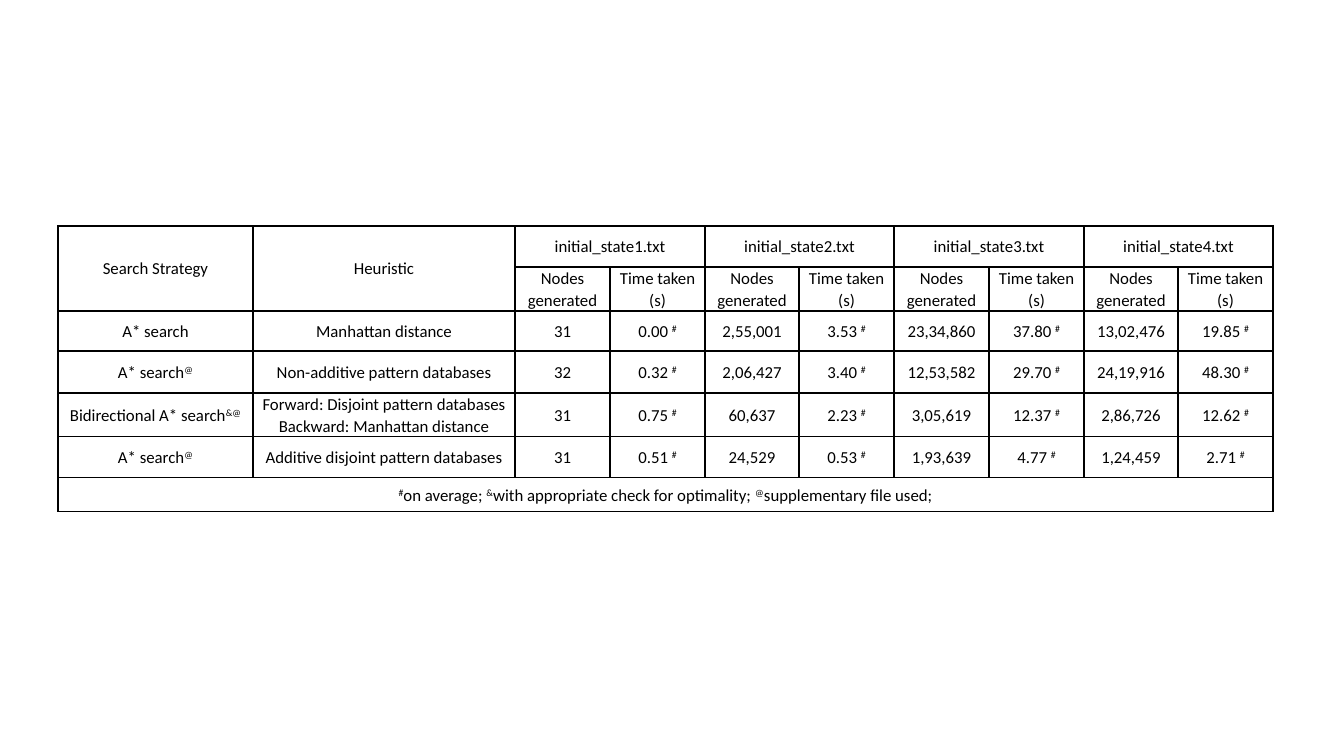
import pptx
import pptx.dml.color
import pptx.enum.text
import pptx.util
import lxml.etree

PIXEL = pptx.util.Inches(1) / 100.8
DRAWING = "{http://schemas.openxmlformats.org/drawingml/2006/main}"
BLACK = "000000"


def px(length):
    """Turn whole pixels into EMU."""
    return pptx.util.Emu(round(length * PIXEL))


def write(cell, text, size=12, font="Calibri", color=BLACK, inset=(9, 0)):
    """Fill a cell with centred text; ^ switches superscript on and off."""
    cell.vertical_anchor = pptx.enum.text.MSO_ANCHOR.MIDDLE
    cell.margin_left = cell.margin_right = px(inset[0])
    cell.margin_top = cell.margin_bottom = px(inset[1])
    for number, line in enumerate(text.split("\n")):
        frame = cell.text_frame
        para = frame.add_paragraph() if number else frame.paragraphs[0]
        para.alignment = pptx.enum.text.PP_ALIGN.CENTER
        para.line_spacing = 1.07
        for index, part in enumerate(line.split("^")):
            if not part:
                continue
            span = para.add_run()
            span.text = part
            span.font.size = pptx.util.Pt(size)
            span.font.name = font
            span.font.color.rgb = pptx.dml.color.RGBColor.from_string(color)
            if index % 2:
                span.font._element.set("baseline", "30000")


deck = pptx.Presentation()
deck.slide_width = pptx.util.Inches(13.33)
deck.slide_height = pptx.util.Inches(7.5)
page = deck.slides.add_slide(deck.slide_layouts[6])

# Search strategy, heuristic, then nodes generated and seconds for each state
results = [
    ("A* search", "Manhattan distance",
     "31", "0.00", "2,55,001", "3.53", "23,34,860", "37.80", "13,02,476", "19.85"),
    ("A* search^@", "Non-additive pattern databases",
     "32", "0.32", "2,06,427", "3.40", "12,53,582", "29.70", "24,19,916", "48.30"),
    ("Bidirectional A* search^&@",
     "Forward: Disjoint pattern databases\nBackward: Manhattan distance",
     "31", "0.75", "60,637", "2.23", "3,05,619", "12.37", "2,86,726", "12.62"),
    ("A* search^@", "Additive disjoint pattern databases",
     "31", "0.51", "24,529", "0.53", "1,93,639", "4.77", "1,24,459", "2.71"),
]
footnote = ("^#^on average; ^&^with appropriate check for optimality; "
            "^@^supplementary file used;")

widths = [195, 262] + [95, 95, 94, 95] * 2
heights = [41, 44, 40, 42, 44, 41, 34]
table = page.shapes.add_table(len(heights), len(widths), px(58), px(226),
                              px(sum(widths)), px(sum(heights))).table
table.first_row = table.horz_banding = False
for column, width in zip(table.columns, widths):
    column.width = px(width)
for row, height in zip(table.rows, heights):
    row.height = px(height)

# Thin black borders and no fill on every cell
for cell in table.iter_cells():
    properties = cell._tc.get_or_add_tcPr()
    for side in ("lnL", "lnR", "lnT", "lnB"):
        border = lxml.etree.SubElement(properties, DRAWING + side,
                                       w=str(pptx.util.Pt(1)))
        paint = lxml.etree.SubElement(border, DRAWING + "solidFill")
        lxml.etree.SubElement(paint, DRAWING + "srgbClr", val=BLACK)
    cell.fill.background()

# Header
wide = (12, 6)
for column, heading in enumerate(("Search Strategy", "Heuristic")):
    table.cell(0, column).merge(table.cell(1, column))
    write(table.cell(0, column), heading, inset=wide)
for state in range(4):
    column = 2 + 2 * state
    table.cell(0, column).merge(table.cell(0, column + 1))
    write(table.cell(0, column), f"initial_state{state + 1}.txt", inset=wide)
    write(table.cell(1, column), "Nodes generated")
    write(table.cell(1, column + 1), "Time taken (s)")

# Results; every time is marked as an average
for row, values in enumerate(results, start=2):
    for column, value in enumerate(values):
        is_time = column > 2 and column % 2
        write(table.cell(row, column), value + " ^#" if is_time else value)

# Footnote
last = len(heights) - 1
table.cell(last, 0).merge(table.cell(last, len(widths) - 1))
write(table.cell(last, 0), footnote, inset=wide)

deck.save("out.pptx")
